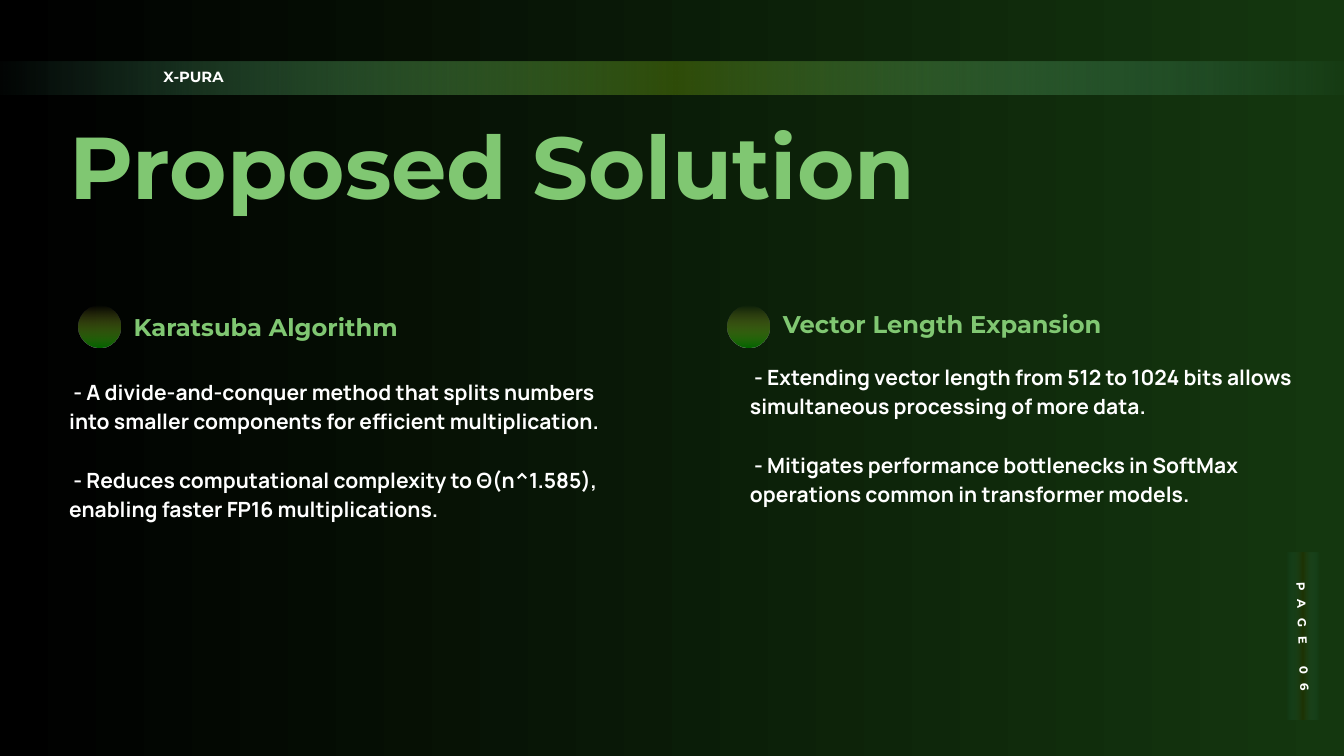
"""Build the Proposed Solution slide with two columns on a dark green gradient."""
from lxml import etree
from pptx import Presentation
from pptx import util as u
from pptx.dml.color import RGBColor
from pptx.enum import shapes, text
from pptx.oxml import ns

WHITE, GREEN = "FFFFFF", "80C772"


def paint_gradient(fill, element, stops, angle=0):
    fill.gradient()
    fill.gradient_angle = angle
    stop_list = element.find(".//" + ns.qn("a:gsLst"))
    for old in list(stop_list):
        stop_list.remove(old)
    for position, color, opacity in stops:
        stop = etree.SubElement(stop_list, ns.qn("a:gs"), pos=str(position * 1000))
        rgb = etree.SubElement(stop, ns.qn("a:srgbClr"), val=color)
        if opacity < 100:
            etree.SubElement(rgb, ns.qn("a:alpha"), val=str(opacity * 1000))


def add_text(place, lines, size, leading, color, font="Montserrat", gap=0):
    box = page.shapes.add_textbox(*map(u.Inches, place))
    frame = box.text_frame
    frame.word_wrap = True
    for side in ("left", "top", "right", "bottom"):
        setattr(frame, f"margin_{side}", 0)
    for index, line in enumerate(lines):
        para = frame.paragraphs[0] if index == 0 else frame.add_paragraph()
        para.line_spacing = u.Pt(leading)
        para.space_before = u.Pt(gap if index else 0)
        span = para.add_run()
        span.text = line
        for name, value in {"name": font, "size": u.Pt(size), "bold": True}.items():
            setattr(span.font, name, value)
        span.font.color.rgb = RGBColor.from_string(color)
    return box


deck = Presentation()
deck.slide_width, deck.slide_height = u.Inches(20), u.Inches(11.25)
page = deck.slides.add_slide(deck.slide_layouts[6])
paint_gradient(page.background.fill, page.element, [(0, "000000", 100), (100, "14370F", 100)])

RECTANGLE, OVAL = shapes.MSO_SHAPE.RECTANGLE, shapes.MSO_SHAPE.OVAL
bullet_stops = [(0, "C2B833", 0), (100, "026600", 100)]
header_stops = [(0, "54B087", 0), (50, "304D0A", 100), (100, "54B087", 0)]
page_stops = [(0, "1A5D3F", 0), (50, "1E3203", 100), (100, "1F6445", 0)]
decorations = [
    (RECTANGLE, (-0.21, 0.92, 20.53, 0.49), header_stops, 0),
    (RECTANGLE, (19.14, 8.23, 0.49, 2.48), page_stops, 0),
    (OVAL, (1.17, 4.55, 0.62, 0.62), bullet_stops, 270),
    (OVAL, (10.83, 4.55, 0.62, 0.62), bullet_stops, 270),
]
for kind, place, stops, angle in decorations:
    shape = page.shapes.add_shape(kind, *map(u.Inches, place))
    shape.shadow.inherit = False
    shape.line.fill.background()
    paint_gradient(shape.fill, shape.element, stops, angle)

add_text((2.43, 1.06, 1.91, 0.23), ["X-PURA"], 15.8, 15.3, WHITE)
add_text((1.03, 1.97, 13.39, 1.34), ["Proposed Solution"], 94, 91.2, GREEN)

page_label = add_text((18.36, 9.39, 2.02, 0.17), ["PAGE 06"], 12.6, 12.2, WHITE)
page_label.rotation = 88
label_para = page_label.text_frame.paragraphs[0]
label_para.alignment = text.PP_ALIGN.CENTER
label_para.runs[0].font._element.set("spc", "1010")

columns = [
    ("Karatsuba Algorithm", (1.99, 4.73, 5.35, 0.36), (1.03, 5.58, 8.47, 3.07), [
        " - A divide-and-conquer method that splits numbers into smaller components for efficient multiplication.",
        " - Reduces computational complexity to Θ(n^1.585), enabling faster FP16 multiplications.",
    ]),
    ("Vector Length Expansion", (11.65, 4.69, 5.35, 0.36), (11.16, 5.36, 8.46, 2.64), [
        " - Extending vector length from 512 to 1024 bits allows simultaneous processing of more data.",
        " - Mitigates performance bottlenecks in SoftMax operations common in transformer models.",
    ]),
]
for heading, heading_place, body_place, points in columns:
    add_text(heading_place, [heading], 25.9, 25.1, GREEN)
    add_text(body_place, points, 22.5, 31.5, WHITE, "Manrope", gap=31.5)

deck.save("out.pptx")
